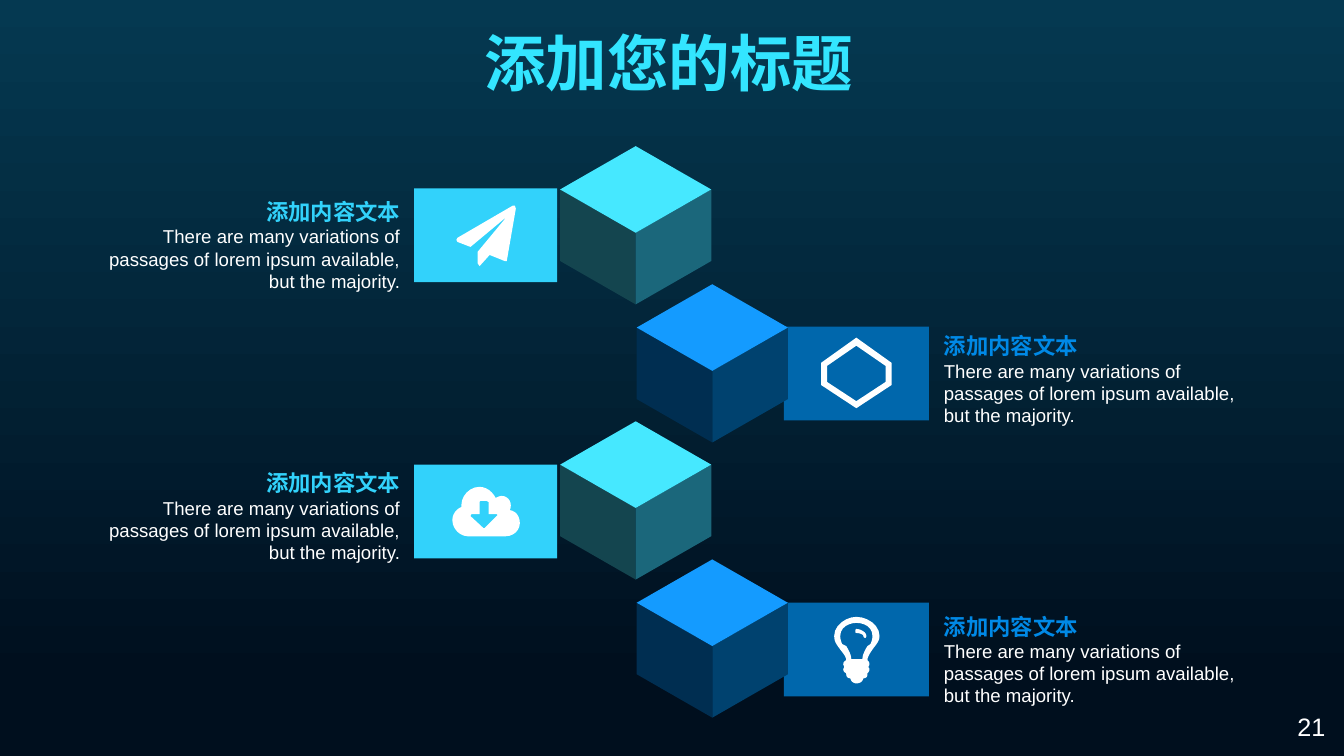
from dataclasses import dataclass
from typing import NamedTuple

from pptx import Presentation
from pptx.dml.color import RGBColor
from pptx.enum.shapes import MSO_SHAPE
from pptx.enum.text import MSO_AUTO_SIZE, PP_ALIGN
from pptx.util import Pt

PX = 9144
WHITE = "FFFFFF"
HEAD = "添加内容文本"
BODY = "There are many variations of passages of lorem ipsum available, but the majority."
HALF, RISE, DEPTH = 75, 43, 71

PLANE = [[
    (512, 207), (503, 259), (501, 259), (486, 253), (477, 263), (476, 264),
    (474, 261), (474, 250), (503, 215), (467, 245), (454, 240), (453, 238),
    (454, 236), (509, 204), (511, 204),
]]
RING = [
    [(815, 360), (850, 335), (885, 360), (885, 382), (850, 405), (815, 382)],
    [(821, 363), (850, 343), (879, 363), (879, 379), (850, 398), (821, 379)],
]
CLOUD = [
    [
        (502, 532), (464, 532), (457, 532, 449, 525, 449, 516),
        (449, 510, 453, 505, 458, 503), (458, 501), (458, 492, 466, 483, 476, 483),
        (483, 483, 489, 488, 492, 494), (494, 493, 496, 492, 498, 492),
        (503, 492, 507, 496, 507, 501), (507, 503, 507, 504, 506, 506),
        (512, 507, 516, 512, 516, 519), (516, 526, 510, 532, 502, 532),
    ],
    [
        (493, 510), (485, 510), (485, 498), (483, 497), (477, 497), (476, 498),
        (476, 510), (468, 510), (467, 512), (480, 524), (481, 524), (494, 511),
    ],
]
BULB = [
    [
        (867, 643), (865, 646, 861, 651, 861, 655), (862, 656, 863, 657, 863, 659),
        (863, 660, 862, 661, 862, 662), (862, 662, 863, 663, 863, 664),
        (863, 666, 862, 667, 861, 668), (861, 669), (861, 672, 859, 673, 857, 673),
        (856, 677, 853, 678, 850, 678), (848, 678, 845, 677, 844, 673),
        (842, 673, 840, 672, 840, 669), (840, 668), (838, 667, 837, 666, 837, 664),
        (837, 663, 838, 662, 838, 662), (838, 661, 837, 660, 837, 659),
        (837, 657, 838, 656, 840, 655), (840, 651, 835, 646, 833, 643),
        (830, 639, 828, 636, 828, 631), (828, 620, 840, 612, 850, 612),
        (861, 612, 873, 620, 873, 631), (873, 636, 870, 639, 867, 643),
    ],
    [
        (850, 618), (843, 618, 834, 622, 834, 631), (834, 634, 835, 637, 836, 639),
        (840, 641), (843, 646, 845, 650, 845, 654), (856, 654),
        (856, 650, 858, 646, 861, 641), (864, 639), (865, 637, 866, 634, 866, 631),
        (866, 622, 858, 618, 850, 618),
    ],
    [
        (859, 633), (858, 633, 857, 632, 857, 631), (857, 629, 852, 628, 850, 628),
        (849, 628, 849, 627, 849, 626), (849, 626, 849, 624, 850, 624),
        (854, 624, 860, 627, 860, 631), (860, 632, 859, 633, 859, 633),
    ],
]


class Tone(NamedTuple):
    panel: str
    head: str
    top: str
    left: str
    right: str


class Side(NamedTuple):
    cube: int
    panel: int
    width: int
    text: int
    align: PP_ALIGN
    tone: Tone


@dataclass
class Step:
    side: Side
    cube: int
    panel: int
    text: int
    icon: list


CYAN = Tone("32D2FB", "32D2FB", "46E8FF", "14454F", "1B677B")
BLUE = Tone("0067AC", "0089E6", "149BFF", "002E51", "00426F")
LEFT = Side(631, 411, 142, 78, PP_ALIGN.RIGHT, CYAN)
RIGHT = Side(707, 778, 144, 927, PP_ALIGN.LEFT, BLUE)
STEPS = [
    Step(LEFT, 145, 187, 192, PLANE),
    Step(RIGHT, 282, 324, 325, RING),
    Step(LEFT, 418, 461, 461, CLOUD),
    Step(RIGHT, 555, 598, 603, BULB),
]


def color(code: str) -> RGBColor:
    return RGBColor.from_string(code)


def paint(shape, code: str) -> None:
    shape.shadow.inherit = False
    shape.fill.solid()
    shape.fill.fore_color.rgb = color(code)
    shape.line.fill.background()


def curve(start: tuple, seg: tuple, count: int = 6) -> list:
    pts = [start, seg[:2], seg[2:4], seg[4:]]
    out = []
    for i in range(1, count + 1):
        t = i / count
        u = 1 - t
        mix = (u ** 3, 3 * u * u * t, 3 * u * t * t, t ** 3)
        out.append(tuple(sum(m * p[k] for m, p in zip(mix, pts)) for k in (0, 1)))
    return out


def flat(loop: list) -> list:
    pts = [loop[0]]
    for seg in loop[1:]:
        pts += [seg] if len(seg) == 2 else curve(pts[-1], seg)
    return [(x * PX, y * PX) for x, y in pts]


def outline(slide, loops: list, code: str) -> None:
    first, *rest = [flat(loop) for loop in loops]
    pen = slide.shapes.build_freeform(*first[0], scale=1.0)
    pen.add_line_segments(first[1:], close=True)
    for pts in rest:
        pen.move_to(*pts[0])
        pen.add_line_segments(pts[1:], close=True)
    paint(pen.convert_to_shape(), code)


def panel(slide, step: Step) -> None:
    side = step.side
    box = (side.panel, step.panel, side.width, 93)
    rect = slide.shapes.add_shape(MSO_SHAPE.RECTANGLE, *(n * PX for n in box))
    paint(rect, side.tone.panel)


def cube(slide, step: Step) -> None:
    x, y, tone = step.side.cube, step.cube, step.side.tone
    mid = (x, y + 2 * RISE)
    base = (x, y + 2 * RISE + DEPTH)
    west, east = ((x + d, y + RISE) for d in (-HALF, HALF))
    for edge, code in ((west, tone.left), (east, tone.right)):
        low = (edge[0], edge[1] + DEPTH)
        outline(slide, [[edge, mid, base, low]], code)
    outline(slide, [[(x, y), east, mid, west]], tone.top)


def label(slide, box: tuple, rows: list, align: PP_ALIGN, wrap: bool = True) -> None:
    frame = slide.shapes.add_textbox(*(n * PX for n in box)).text_frame
    frame.word_wrap = wrap
    frame.auto_size = MSO_AUTO_SIZE.SHAPE_TO_FIT_TEXT
    frame.text = "\n".join(row[0] for row in rows)
    for para, (_, size, code, bold) in zip(frame.paragraphs, rows):
        para.alignment = align
        font = para.runs[0].font
        font.name = "Arial"
        font.size = Pt(size)
        font.bold = bold
        font.color.rgb = color(code)


def shade(slide) -> None:
    fill = slide.background.fill
    fill.gradient()
    fill.gradient_angle = 270
    for stop, (pos, code) in zip(fill.gradient_stops, ((0, "053951"), (0.9, "000F1E"))):
        stop.position = pos
        stop.color.rgb = color(code)


def main() -> None:
    deck = Presentation()
    deck.slide_width, deck.slide_height = 1334 * PX, 750 * PX
    slide = deck.slides.add_slide(deck.slide_layouts[6])
    shade(slide)
    label(slide, (1278, 701, 56, 40), [("21", 18, WHITE, False)], PP_ALIGN.LEFT, False)
    for step in STEPS:
        side = step.side
        panel(slide, step)
        cube(slide, step)
        outline(slide, step.icon, WHITE)
        rows = [(HEAD, 16, side.tone.head, True), (BODY, 13.3, WHITE, False)]
        label(slide, (side.text, step.text, 329, 104), rows, side.align)
    title = [("添加您的标题", 44, "33E5FF", True)]
    label(slide, (278, 20, 772, 84), title, PP_ALIGN.CENTER)
    deck.save("out.pptx")


if __name__ == "__main__":
    main()
